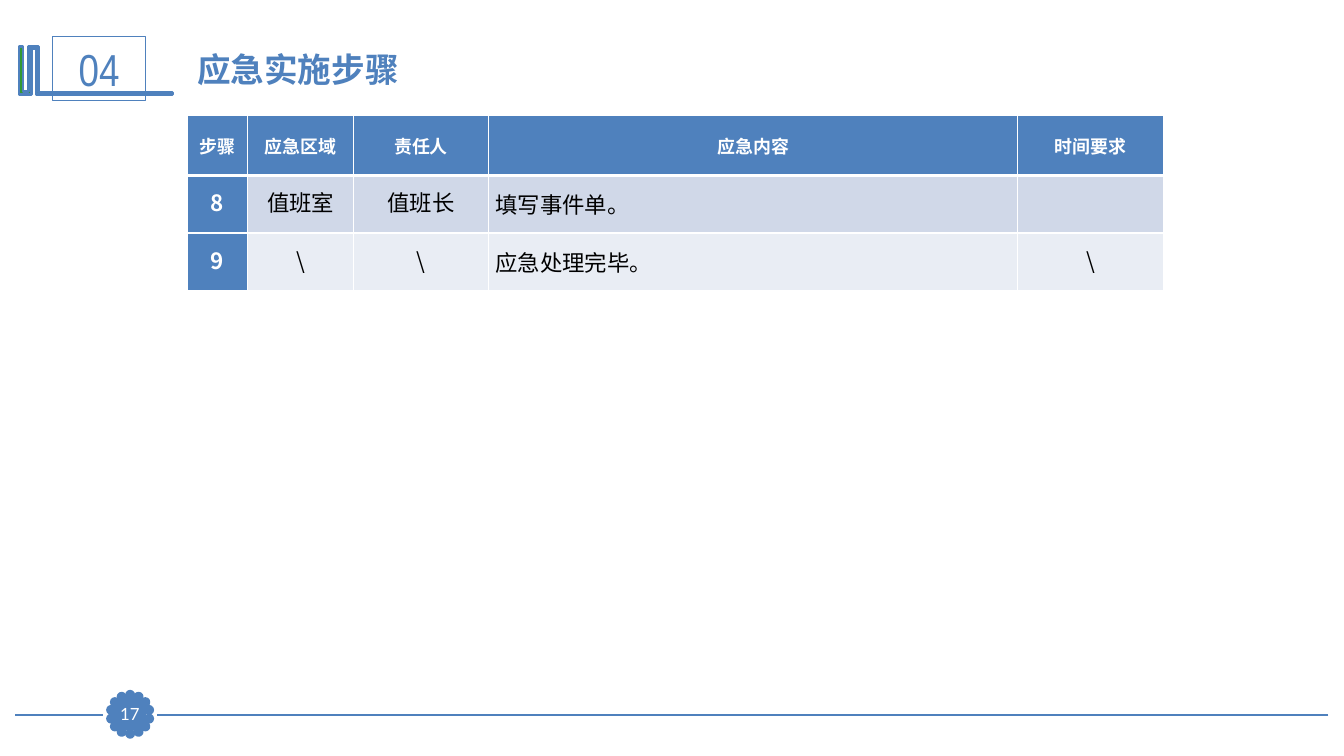
import math

import lxml.etree
import pptx
import pptx.dml.color
import pptx.enum.shapes
import pptx.enum.text
import pptx.oxml.ns
import pptx.util

Cm = pptx.util.Cm
Pt = pptx.util.Pt
Shape = pptx.enum.shapes.MSO_SHAPE
Align = pptx.enum.text.PP_ALIGN
qn = pptx.oxml.ns.qn

COLORS = {
    "blue": "4F81BD",
    "green": "339933",
    "white": "FFFFFF",
    "black": "000000",
    "band": "D0D8E8",
    "pale": "E9EDF4",
}
SANS = "Noto Sans CJK SC"
WIDTHS = [1.52, 2.67, 3.4, 13.34, 3.68]
HEIGHTS = [1.5, 1.45, 1.45]
ROWS = [
    ["步骤", "应急区域", "责任人", "应急内容", "时间要求"],
    ["8", "值班室", "值班长", "填写事件单。", ""],
    ["9", "\\", "\\", "应急处理完毕。", "\\"],
]
HOOK = [
    (0.97, 1.17), (0.97, 2.34), (4.34, 2.34), (4.34, 2.39), (0.91, 2.39),
    (0.91, 1.22), (0.79, 1.22), (0.79, 2.39), (0.48, 2.39), (0.48, 1.17),
    (0.58, 1.17), (0.58, 2.31), (0.71, 2.31), (0.71, 1.17),
]


def tint(name):
    return pptx.dml.color.RGBColor.from_string(COLORS[name])


def write(frame, text, size=16, font=SANS, color="black", bold=False,
          align=Align.CENTER, space=None, small=False):
    para = frame.paragraphs[0]
    para.alignment = align
    if space:
        para.line_spacing = Pt(space)
    run = para.add_run()
    run.text = text
    run.font.size = Pt(size)
    run.font.bold = bold
    run.font.name = font
    run.font.color.rgb = tint(color)
    props = run.font._element
    if small:
        props.set("cap", "small")
    east = lxml.etree.Element(qn("a:ea"), typeface=font)
    props.find(qn("a:latin")).addnext(east)


def paint(shape, fill=None, width=0.75):
    shape.shadow.inherit = False
    if fill:
        shape.fill.solid()
        shape.fill.fore_color.rgb = tint(fill)
    else:
        shape.fill.background()
    shape.line.color.rgb = tint("blue")
    shape.line.width = Pt(width)


def add_box(shapes, kind, left, top, width, height, fill=None, line=0.75):
    box = shapes.add_shape(kind, Cm(left), Cm(top), Cm(width), Cm(height))
    paint(box, fill, line)
    box.text_frame.vertical_anchor = pptx.enum.text.MSO_ANCHOR.MIDDLE
    return box


def add_rule(slide, start, end, top):
    rule = slide.shapes.add_connector(
        pptx.enum.shapes.MSO_CONNECTOR.STRAIGHT,
        Cm(start), Cm(top), Cm(end), Cm(top))
    rule.line.color.rgb = tint("blue")
    rule.line.width = Pt(1.25)
    lxml.etree.SubElement(rule._element.spPr, qn("a:effectLst"))


def add_petals(slide, mid_x, mid_y, radius, size, count):
    group = slide.shapes.add_group_shape()
    for step in range(count):
        turn = 2 * math.pi * step / count
        left = mid_x + radius * math.sin(turn) - size / 2
        top = mid_y - radius * math.cos(turn) - size / 2
        add_box(group.shapes, Shape.OVAL, left, top, size, size, "blue", 2)


def add_hook(slide):
    points = [(Cm(x), Cm(y)) for x, y in HOOK]
    path = slide.shapes.build_freeform(*points[0], scale=1.0)
    path.add_line_segments(points[1:], close=True)
    paint(path.convert_to_shape(), "green", 2)


def add_title(slide, text):
    box = slide.shapes.add_textbox(Cm(4.72), Cm(1.12), Cm(24.61), Cm(1.3))
    frame = box.text_frame
    frame.word_wrap = True
    frame.auto_size = pptx.enum.text.MSO_AUTO_SIZE.SHAPE_TO_FIT_TEXT
    write(frame, text, size=24, color="blue", bold=True, align=Align.LEFT)


def set_edge(cell, tag, width):
    props = cell._tc.get_or_add_tcPr()
    edge = lxml.etree.SubElement(props, qn(tag), w=str(Pt(width)))
    fill = lxml.etree.SubElement(edge, qn("a:solidFill"))
    lxml.etree.SubElement(fill, qn("a:srgbClr"), val=COLORS["white"])


def fill_cell(cell, text, row, col):
    cell.margin_left = cell.margin_right = Cm(0.18)
    cell.margin_top = cell.margin_bottom = 0
    cell.vertical_anchor = pptx.enum.text.MSO_ANCHOR.MIDDLE
    set_edge(cell, "a:lnL", 1)
    set_edge(cell, "a:lnR", 1)
    set_edge(cell, "a:lnT", 3 if row == 1 else 1)
    set_edge(cell, "a:lnB", 3 if row == 0 else 1)
    head = row == 0 or col == 0
    cell.fill.solid()
    cell.fill.fore_color.rgb = tint(
        "blue" if head else ("pale", "band")[row % 2])
    if text:
        prose = row > 0 and col == 3
        write(cell.text_frame, text, color="white" if head else "black",
              bold=head, align=Align.LEFT if prose else Align.CENTER,
              space=None if prose else 20, small=row == 0)


def add_steps(slide):
    table = slide.shapes.add_table(
        len(ROWS), len(WIDTHS), Cm(4.72), Cm(2.92),
        Cm(sum(WIDTHS)), Cm(sum(HEIGHTS))).table
    table.first_row = table.horz_banding = False
    for col, width in enumerate(WIDTHS):
        table.columns[col].width = Cm(width)
    for row, texts in enumerate(ROWS):
        table.rows[row].height = Cm(HEIGHTS[row])
        for col, text in enumerate(texts):
            fill_cell(table.cell(row, col), text, row, col)


def main():
    deck = pptx.Presentation()
    deck.slide_width = Cm(33.87)
    deck.slide_height = Cm(19.05)
    slide = deck.slides.add_slide(deck.slide_layouts[6])

    add_rule(slide, 33.48, 3.96, 18.01)
    add_rule(slide, 2.59, 0.38, 18.01)
    add_petals(slide, 3.28, 18, 0.49, 0.18, 14)
    add_hook(slide)
    badge = add_box(slide.shapes, Shape.RECTANGLE, 1.32, 0.91, 2.36, 1.63)
    write(badge.text_frame, "04", size=32, font="Arial Narrow", color="blue")

    page = add_box(slide.shapes, Shape.RECTANGLE,
                   2.87, 17.6, 0.81, 0.79, "blue")
    frame = page.text_frame
    frame.margin_left = frame.margin_right = 0
    frame.margin_top = frame.margin_bottom = 0
    write(frame, "17", size=12, font="Lato", color="white")

    add_title(slide, "应急实施步骤")
    add_steps(slide)
    deck.save("out.pptx")


if __name__ == "__main__":
    main()
